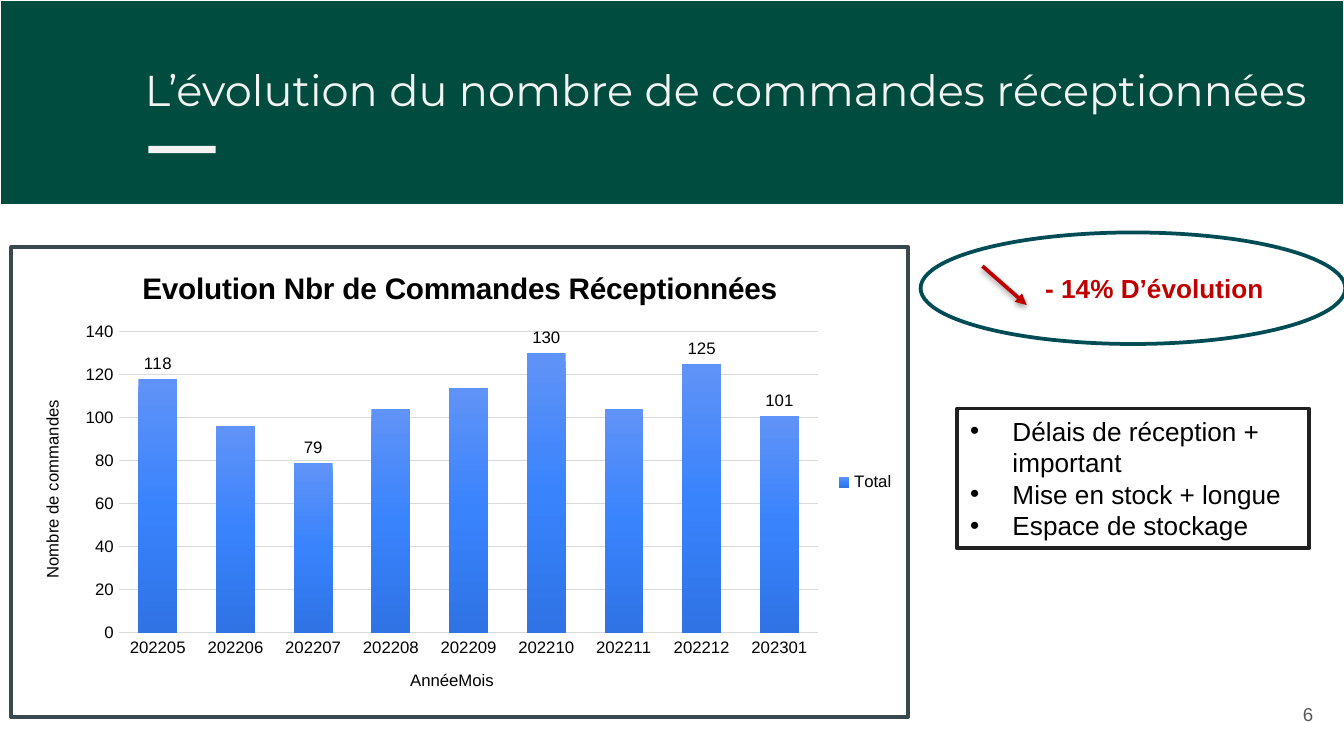
"""Build a slide on the number of orders received."""
from pptx import Presentation
from pptx.chart.data import CategoryChartData
from pptx.dml.color import RGBColor
from pptx.enum.chart import XL_CHART_TYPE, XL_LABEL_POSITION, XL_LEGEND_POSITION, XL_TICK_MARK
from pptx.enum.shapes import MSO_CONNECTOR, MSO_SHAPE
from pptx.enum.text import MSO_ANCHOR, PP_ALIGN
from pptx.oxml import parse_xml
from pptx.oxml.ns import nsdecls, qn
from pptx.util import Pt

PX = 4572
WHITE = RGBColor(0xFF, 0xFF, 0xFF)
BLACK = RGBColor(0, 0, 0)
GREEN = RGBColor(0x00, 0x4D, 0x40)
PALE = RGBColor(0xF3, 0xF3, 0xF3)
TEAL = RGBColor(0x00, 0x4C, 0x54)
RED = RGBColor(0xC0, 0x00, 0x00)
DARK = RGBColor(0x21, 0x21, 0x21)
SLATE = RGBColor(0x3A, 0x49, 0x50)
GREY = RGBColor(0x59, 0x59, 0x59)
GRID = RGBColor(0xD9, 0xD9, 0xD9)
BLUES = ((0, RGBColor(0x60, 0x93, 0xF7)), (50, RGBColor(0x39, 0x83, 0xFD)),
         (100, RGBColor(0x2F, 0x73, 0xE5)))
MONTHS = ("202205", "202206", "202207", "202208", "202209",
          "202210", "202211", "202212", "202301")
ORDERS = (118, 96, 79, 104, 114, 130, 104, 125, 101)
UNLABELLED = (1, 3, 4, 6)


def xml(tag, body="", attrs=""):
    """Return an element with the drawing and chart namespaces."""
    return parse_xml(f'<{tag} {nsdecls("a", "c")} {attrs}>{body}</{tag}>')


def set_font(font, size=9, color=BLACK, name="Arial", bold=False):
    """Format a font."""
    font.size, font.name, font.bold = Pt(size), name, bold
    font.color.rgb = color


def write(tf, text, align=PP_ALIGN.LEFT, anchor=MSO_ANCHOR.TOP,
          insets=(20, 20, 20, 20), bullet=None, **font):
    """Fill a text frame with one paragraph per line."""
    tf.word_wrap, tf.vertical_anchor = True, anchor
    tf.margin_left, tf.margin_top, tf.margin_right, tf.margin_bottom = (
        n * PX for n in insets)
    for i, line in enumerate(text.split("\n")):
        p = tf.paragraphs[0] if i == 0 else tf.add_paragraph()
        p.alignment = align
        r = p.add_run()
        r.text = line
        set_font(r.font, **font)
        if bullet:
            pPr = p._p.get_or_add_pPr()
            pPr.set("marL", str(63 * PX))
            pPr.set("indent", str(-63 * PX))
            pPr.append(xml("a:buFont", attrs='typeface="Arial"'))
            pPr.append(xml("a:buChar", attrs=f'char="{bullet}"'))


class Deck:
    """Hold the style and the current slide."""

    def __init__(self, width, height):
        """Start a presentation with one blank slide."""
        self.prs = Presentation()
        self.prs.slide_width, self.prs.slide_height = width * PX, height * PX
        self.s = self.prs.slides.add_slide(self.prs.slide_layouts[6])

    def shape(self, kind, box, fill=None, line=None, weight=2):
        """Add a preset shape."""
        sp = self.s.shapes.add_shape(kind, *(n * PX for n in box))
        sp.shadow.inherit = False
        if fill is None:
            sp.fill.background()
        else:
            sp.fill.solid()
            sp.fill.fore_color.rgb = fill
        if line is None:
            sp.line.fill.background()
        else:
            sp.line.color.rgb, sp.line.width = line, Pt(weight)
        return sp

    def text(self, box, text, **style):
        """Add a text box."""
        sp = self.s.shapes.add_textbox(*(n * PX for n in box))
        write(sp.text_frame, text, **style)

    def arrow(self, start, end, color):
        """Add an arrow with a soft shadow below it."""
        sp = self.s.shapes.add_connector(
            MSO_CONNECTOR.STRAIGHT, *(n * PX for n in start + end))
        sp.line.color.rgb, sp.line.width = color, Pt(2)
        sp.line._get_or_add_ln().append(xml("a:tailEnd", attrs='type="triangle"'))
        sp._element.spPr.append(xml(
            "a:effectLst",
            f'<a:outerShdw blurRad="{Pt(3.1)}" dist="{Pt(1.6)}" dir="5400000" rotWithShape="0">'
            '<a:srgbClr val="000000"><a:alpha val="38000"/></a:srgbClr></a:outerShdw>'))

    def chart(self, box, title, cat_title, val_title):
        """Add the column chart of orders by month."""
        data = CategoryChartData()
        data.categories = MONTHS
        data.add_series("Total", ORDERS)
        chart = self.s.shapes.add_chart(
            XL_CHART_TYPE.COLUMN_CLUSTERED, *(n * PX for n in box), data).chart
        set_font(chart.font, size=10)
        chart.has_title = True
        self.title(chart.chart_title, title, size=16, bold=True)
        chart.has_legend = True
        chart.legend.position = XL_LEGEND_POSITION.RIGHT
        chart.legend.include_in_layout = False
        set_font(chart.legend.font)
        for axis, text in ((chart.category_axis, cat_title), (chart.value_axis, val_title)):
            self.title(axis.axis_title, text)
            axis.major_tick_mark = axis.minor_tick_mark = XL_TICK_MARK.NONE
            set_font(axis.tick_labels.font)
        chart.category_axis.format.line.color.rgb = GRID
        chart.category_axis.format.line.width = Pt(1)
        axis = chart.value_axis
        axis.minimum_scale, axis.maximum_scale, axis.major_unit = 0, 140, 20
        axis.format.line.fill.background()
        axis.major_gridlines.format.line.color.rgb = GRID
        axis.major_gridlines.format.line.width = Pt(0.75)
        plot = chart.plots[0]
        plot.gap_width, plot.overlap, plot.vary_by_categories = 100, -24, False
        self.columns(plot.series[0])
        self.frame(chart)

    def title(self, title, text, **font):
        """Write the title of a chart or an axis."""
        r = title.text_frame.paragraphs[0].add_run()
        r.text = text
        set_font(r.font, **font)

    def columns(self, series):
        """Shade the columns and label some of them."""
        series.format.fill.solid()
        stops = "".join(f'<a:gs pos="{pos * 1000}"><a:srgbClr val="{color}"/></a:gs>'
                        for pos, color in BLUES)
        spPr = series._element.spPr
        spPr.replace(spPr[0], xml(
            "a:gradFill", f'<a:gsLst>{stops}</a:gsLst><a:lin ang="5400000" scaled="0"/>'))
        labels = series.data_labels
        labels.show_value, labels.position = True, XL_LABEL_POSITION.OUTSIDE_END
        set_font(labels.font)
        for i in reversed(UNLABELLED):
            labels._element.insert(0, xml("c:dLbl", f'<c:idx val="{i}"/><c:delete val="1"/>'))

    def frame(self, chart):
        """Draw the chart border and place the plot area."""
        root = chart._chartSpace.find(qn("c:chart"))
        root.addnext(xml(
            "c:spPr", f'<a:solidFill><a:srgbClr val="{WHITE}"/></a:solidFill>'
            f'<a:ln w="{Pt(2)}"><a:solidFill><a:srgbClr val="{SLATE}"/></a:solidFill></a:ln>'))
        area = root.find(qn("c:plotArea"))
        for old in area.findall(qn("c:layout")):
            area.remove(old)
        sizes = "".join(f'<c:{key} val="{val}"/>' for key, val in
                        (("x", 0.12), ("y", 0.18), ("w", 0.78), ("h", 0.64)))
        area.insert(0, xml(
            "c:layout", '<c:manualLayout><c:layoutTarget val="inner"/>'
            f'<c:xMode val="edge"/><c:yMode val="edge"/>{sizes}</c:manualLayout>'))


def main():
    """Compose and save the slide."""
    deck = Deck(2000, 1125)
    deck.shape(MSO_SHAPE.RECTANGLE, (0, 0, 2000, 304), GREEN, WHITE, 0.75)
    deck.text((196, 74, 1864, 126), "L’évolution du nombre de commandes réceptionnées",
              size=23.1, name="Montserrat", color=PALE)
    deck.shape(MSO_SHAPE.RECTANGLE, (221, 217, 100, 11), PALE)
    oval = deck.shape(MSO_SHAPE.OVAL, (1370, 346, 632, 166), line=TEAL)
    write(oval.text_frame, "- 14% D’évolution", align=PP_ALIGN.CENTER,
          anchor=MSO_ANCHOR.MIDDLE, insets=(64, 10, 0, 10), size=14, color=RED, bold=True)
    deck.arrow((1462, 396), (1528, 454), RED)
    causes = deck.shape(MSO_SHAPE.RECTANGLE, (1424, 608, 524, 208), WHITE, DARK)
    write(causes.text_frame,
          "Délais de réception + important\nMise en stock + longue\nEspace de stockage",
          insets=(20, 10, 20, 10), bullet="•", size=14)
    deck.text((1854, 1020, 120, 86), "6", align=PP_ALIGN.RIGHT, anchor=MSO_ANCHOR.MIDDLE,
              size=10, color=GREY)
    deck.chart((14, 365, 1340, 705), "Evolution Nbr de Commandes Réceptionnées",
               "AnnéeMois", "Nombre de commandes")
    deck.prs.save("out.pptx")


if __name__ == "__main__":
    main()
